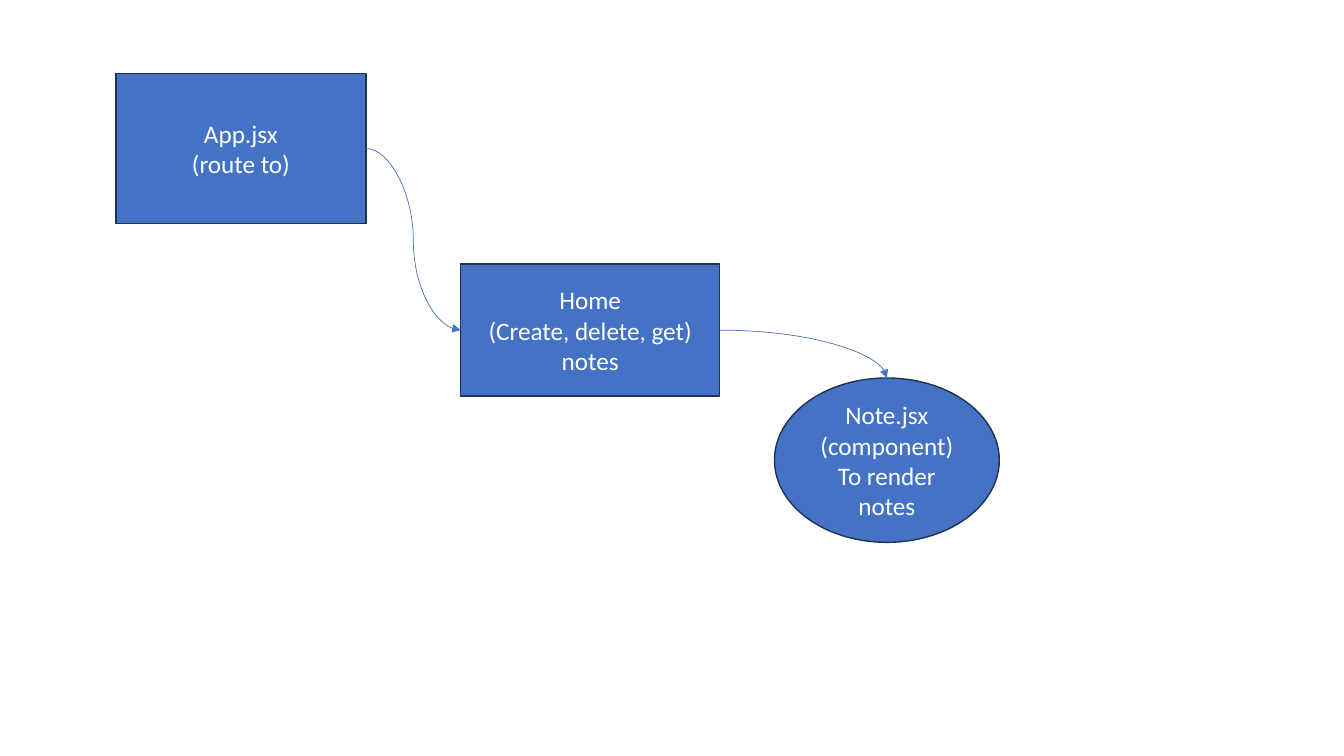
from pptx import Presentation
from pptx.dml.color import RGBColor
from pptx.enum.shapes import MSO_CONNECTOR, MSO_SHAPE
from pptx.enum.text import MSO_ANCHOR, PP_ALIGN
from pptx.oxml.ns import qn
from pptx.util import Pt
from lxml.etree import SubElement

# Content
COLORS = {"fill": "4472C4", "outline": "1E3256", "text": "FFFFFF"}
RECT, OVAL = MSO_SHAPE.RECTANGLE, MSO_SHAPE.OVAL
# name: (shape, left, top, width, height, lines), in points
NODES = {
    "app": (RECT, 82.8, 52.4, 178.6, 107.4, ["App.jsx", "(route to)"]),
    "home": (RECT, 329, 188.6, 185.2, 94.4,
             ["Home", "(Create, delete, get)", "notes"]),
    "note": (OVAL, 553.2, 270, 160.6, 117.4,
             ["Note.jsx", "(component)", "To render notes"]),
}
TOP, LEFT, RIGHT = 0, 1, 3  # connection sites
# from node, site, to node, site, curve
LINKS = [
    ("app", RIGHT, "home", LEFT, "curvedConnector3"),
    ("home", RIGHT, "note", TOP, "curvedConnector2"),
]


def color(name):
    return RGBColor.from_string(COLORS[name])


def write(tf, lines, size=18, font="Calibri", ink="text", align=PP_ALIGN.CENTER):
    tf.word_wrap = True
    tf.vertical_anchor = MSO_ANCHOR.MIDDLE
    for i, line in enumerate(lines):
        p = tf.paragraphs[0] if i == 0 else tf.add_paragraph()
        p.alignment = align
        r = p.add_run()
        r.text = line
        r.font.size, r.font.name = Pt(size), font
        r.font.color.rgb = color(ink)


def add_node(s, kind, left, top, width, height, lines):
    sp = s.shapes.add_shape(kind, Pt(left), Pt(top), Pt(width), Pt(height))
    sp.shadow.inherit = False
    sp.fill.solid()
    sp.fill.fore_color.rgb = color("fill")
    sp.line.color.rgb = color("outline")
    sp.line.width = Pt(1)
    write(sp.text_frame, lines)
    return sp


def add_arrow(s, source, start, target, end, curve):
    cxn = s.shapes.add_connector(MSO_CONNECTOR.CURVE, 0, 0, 0, 0)
    cxn.begin_connect(source, start)
    cxn.end_connect(target, end)
    cxn.line.color.rgb = color("fill")
    cxn.line.width = Pt(0.5)
    sp_pr = cxn._element.spPr
    sp_pr.find(qn("a:prstGeom")).set("prst", curve)
    SubElement(sp_pr.find(qn("a:ln")), qn("a:tailEnd"), type="triangle")
    SubElement(sp_pr, qn("a:effectLst"))


prs = Presentation()
prs.slide_width, prs.slide_height = Pt(960), Pt(540)
s = prs.slides.add_slide(prs.slide_layouts[6])

# Boxes and ellipse
nodes = {name: add_node(s, *node) for name, node in NODES.items()}

# Arrows between the nodes
for source, start, target, end, curve in LINKS:
    add_arrow(s, nodes[source], start, nodes[target], end, curve)

prs.save("out.pptx")
